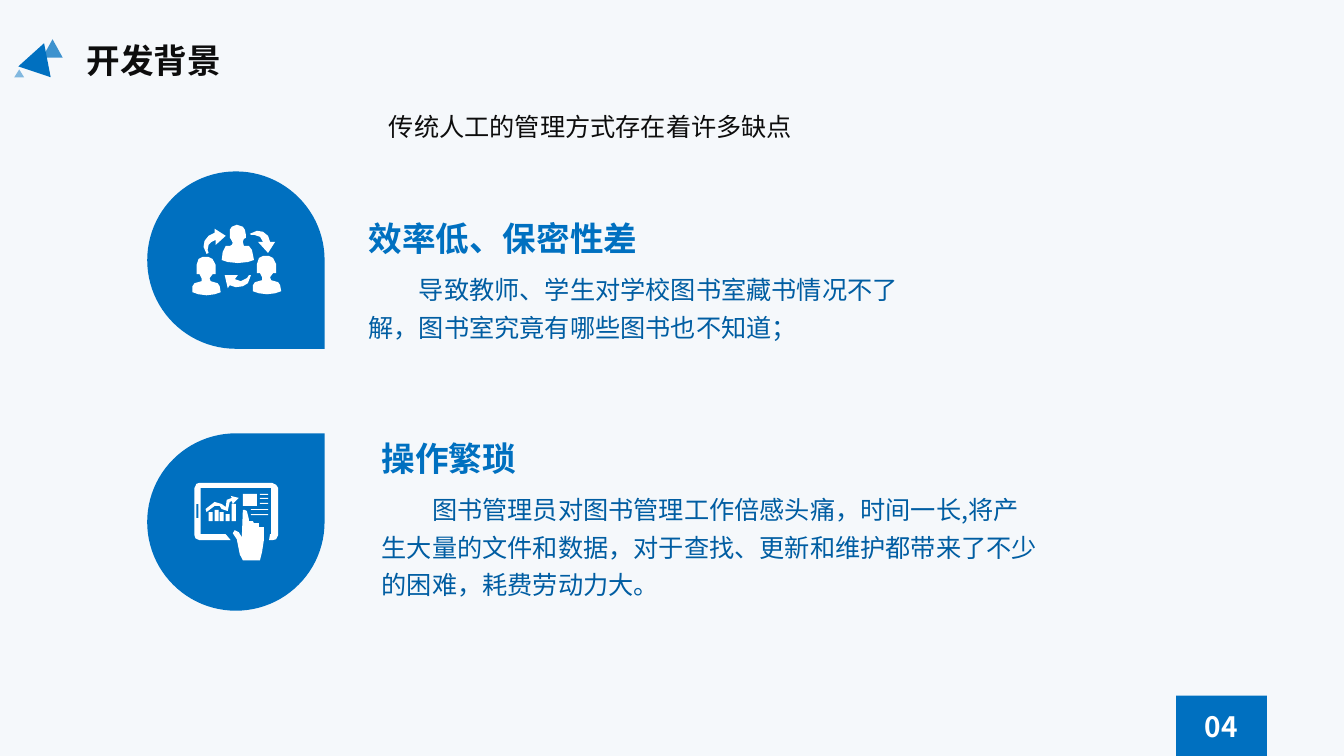
from lxml import etree
from pptx import Presentation
from pptx.dml.color import RGBColor
from pptx.enum.shapes import MSO_SHAPE
from pptx.enum.text import MSO_ANCHOR, PP_ALIGN
from pptx.oxml.ns import qn
from pptx.util import Cm, Pt

RECT, TEAR, TRI = MSO_SHAPE.RECTANGLE, MSO_SHAPE.TEAR, MSO_SHAPE.ISOSCELES_TRIANGLE
MIDDLE, CENTER = MSO_ANCHOR.MIDDLE, PP_ALIGN.CENTER
FONT = "Noto Sans CJK SC"
BLUE = RGBColor(0x00, 0x70, 0xC0)
NAVY = RGBColor(0x00, 0x5D, 0xA2)
INK = RGBColor(0x0D, 0x0D, 0x0D)
WHITE = RGBColor(0xFF, 0xFF, 0xFF)
PALE = RGBColor(0xF5, 0xF8, 0xFB)
UNIT = Cm(0.0254)

BOSS = [(224, 244), (228, 244), (230, 243), (231, 241), (229, 237), (228, 236),
        (228, 228), (230, 225), (235, 223), (241, 225), (243, 228), (244, 233),
        (244, 236), (242, 237), (241, 240), (242, 244), (247, 244), (250, 248),
        (252, 258), (246, 260), (236, 261), (226, 260), (220, 258), (221, 250)]
STAFF = [(211, 272), (208, 276), (209, 279), (216, 281), (218, 284), (219, 290),
         (213, 292), (205, 293), (197, 292), (191, 290), (191, 284), (193, 281),
         (200, 279), (200, 276), (198, 272), (195, 272), (195, 263), (197, 257),
         (201, 255), (207, 255), (211, 257), (214, 263), (214, 272)]
ARROWS = [
    [(226, 286), (223, 273), (236, 273), (233, 277), (239, 279), (245, 276),
     (247, 273), (249, 273), (246, 281), (241, 284), (234, 285), (228, 283)],
    [(213, 227), (213, 231), (207, 234), (203, 239), (202, 245), (205, 252),
     (207, 251), (206, 248), (207, 243), (210, 240), (214, 238), (214, 243), (224, 234)],
    [(273, 240), (268, 240), (266, 234), (261, 230), (255, 229), (248, 232),
     (249, 233), (252, 233), (258, 235), (261, 240), (256, 240), (266, 251)],
]
FRAME = [(198, 479), (270, 479), (274, 481), (276, 484), (276, 531), (274, 535),
         (270, 536), (267, 536), (268, 530), (269, 530), (269, 484), (199, 484),
         (199, 530), (224, 530), (229, 536), (198, 536), (194, 534), (193, 531),
         (193, 484), (195, 480)]
TREND = [(204, 505), (205, 508), (213, 502), (218, 502), (220, 505), (226, 507),
         (228, 498), (230, 497), (231, 500), (237, 494), (229, 492), (230, 494),
         (225, 496), (224, 503), (220, 500), (213, 498)]
HAND = [(247, 523), (247, 515), (245, 507), (243, 506), (241, 506), (240, 533),
        (237, 528), (233, 526), (231, 529), (235, 535), (238, 550), (241, 556),
        (258, 556), (260, 548), (262, 535), (262, 523), (257, 523), (257, 519),
        (252, 519), (251, 517), (247, 517)]
BARS = [(207, 508), (213, 506), (218, 508), (224, 510), (230, 500)]


def box(x, y, w, h):
    return [(x, y), (x + w, y), (x + w, y + h), (x, y + h)]


def shift(pts, dx, dy):
    return [(x + dx, y + dy) for x, y in pts]


class Page:
    def __init__(self, deck):
        self.slide = deck.slides.add_slide(deck.slide_layouts[6])
        fill = self.slide.background.fill
        fill.solid()
        fill.fore_color.rgb = PALE

    def paint(self, item, color):
        item.shadow.inherit = False
        item.fill.solid()
        item.fill.fore_color.rgb = color
        item.line.fill.background()

    def shape(self, kind, x, y, w, h, turn=0, alpha=100):
        item = self.slide.shapes.add_shape(kind, Cm(x), Cm(y), Cm(w), Cm(h))
        self.paint(item, BLUE)
        item.rotation = turn
        if alpha < 100:
            tint = item._element.spPr.find(".//" + qn("a:srgbClr"))
            etree.SubElement(tint, qn("a:alpha")).set("val", str(alpha * 1000))
        return item

    def icon(self, parts):
        pen = self.slide.shapes.build_freeform(*parts[0][0], scale=UNIT)
        for i, pts in enumerate(parts):
            if i:
                pen.move_to(*pts[0])
            pen.add_line_segments(pts[1:], close=True)
        self.paint(pen.convert_to_shape(), WHITE)

    def frame(self, x, y, w, h):
        item = self.slide.shapes.add_textbox(Cm(x), Cm(y), Cm(w), Cm(h))
        item.text_frame.word_wrap = True
        return item.text_frame

    def add_text(self, para, text, size, color, bold=False):
        run = para.add_run()
        run.text = text
        font = run.font
        font.size, font.bold, font.name = Pt(size), bold, FONT
        font.color.rgb = color
        etree.SubElement(run._r.rPr, qn("a:ea")).set("typeface", FONT)

    def indent(self, para, left, first):
        props = para._p.get_or_add_pPr()
        props.set("marL", str(Cm(left)))
        props.set("indent", str(Cm(first)))

    def title(self, head, lead):
        text = self.frame(1.93, 0.89, 22.63, 2.82)
        self.add_text(text.paragraphs[0], head, 24, INK, True)
        para = text.add_paragraph()
        para.space_before = Pt(21.6)
        self.indent(para, 7.62, 0)
        self.add_text(para, lead, 18, INK)

    def point(self, x, y, w, h, head, body):
        text = self.frame(x, y, w, 1.27)
        self.add_text(text.paragraphs[0], head, 24, BLUE, True)
        para = self.frame(x, y + 1.24, w, h).paragraphs[0]
        para.line_spacing = 1.25
        self.indent(para, 0, 1.27)
        self.add_text(para, body, 18, NAVY)

    def number(self, label):
        text = self.shape(RECT, 29.64, 17.53, 2.29, 1.52).text_frame
        text.vertical_anchor = MIDDLE
        para = text.paragraphs[0]
        para.alignment = CENTER
        self.add_text(para, label, 20, WHITE, True)


def main():
    deck = Presentation()
    deck.slide_width, deck.slide_height = Cm(33.87), Cm(19.05)
    page = Page(deck)
    page.number("04")
    page.title("开发背景", "传统人工的管理方式存在着许多缺点")
    page.shape(TEAR, 3.71, 10.92, 4.47, 4.47)
    page.shape(TEAR, 3.71, 4.32, 4.47, 4.47, turn=90)
    page.icon([BOSS, STAFF, shift(STAFF, 60, -1), *ARROWS])
    bars = [box(x, y, 4, 517 - y) for x, y in BARS]
    rows = [box(249, y, 17, 1) for y in (505, 510)]
    rows += [box(258, y, 8, 1) for y in (490, 494, 499)]
    page.icon([FRAME, TREND, HAND, box(241, 490, 14, 12), box(195, 500, 2, 14), *bars, *rows])
    page.point(9.37, 10.9, 17.15, 3.15, "操作繁琐",
               "图书管理员对图书管理工作倍感头痛，时间一长,将产生大量的文件和数据，"
               "对于查找、更新和维护都带来了不少的困难，耗费劳动力大。")
    page.point(9.04, 5.36, 14.07, 2.18, "效率低、保密性差",
               "导致教师、学生对学校图书室藏书情况不了解，图书室究竟有哪些图书也不知道；")
    page.shape(TRI, 1.07, 0.99, 0.51, 0.46, alpha=75)
    page.shape(TRI, 0.56, 1.07, 0.86, 0.76, turn=18.5)
    page.shape(TRI, 0.36, 1.75, 0.25, 0.2, alpha=47)
    deck.save("out.pptx")


if __name__ == "__main__":
    main()
